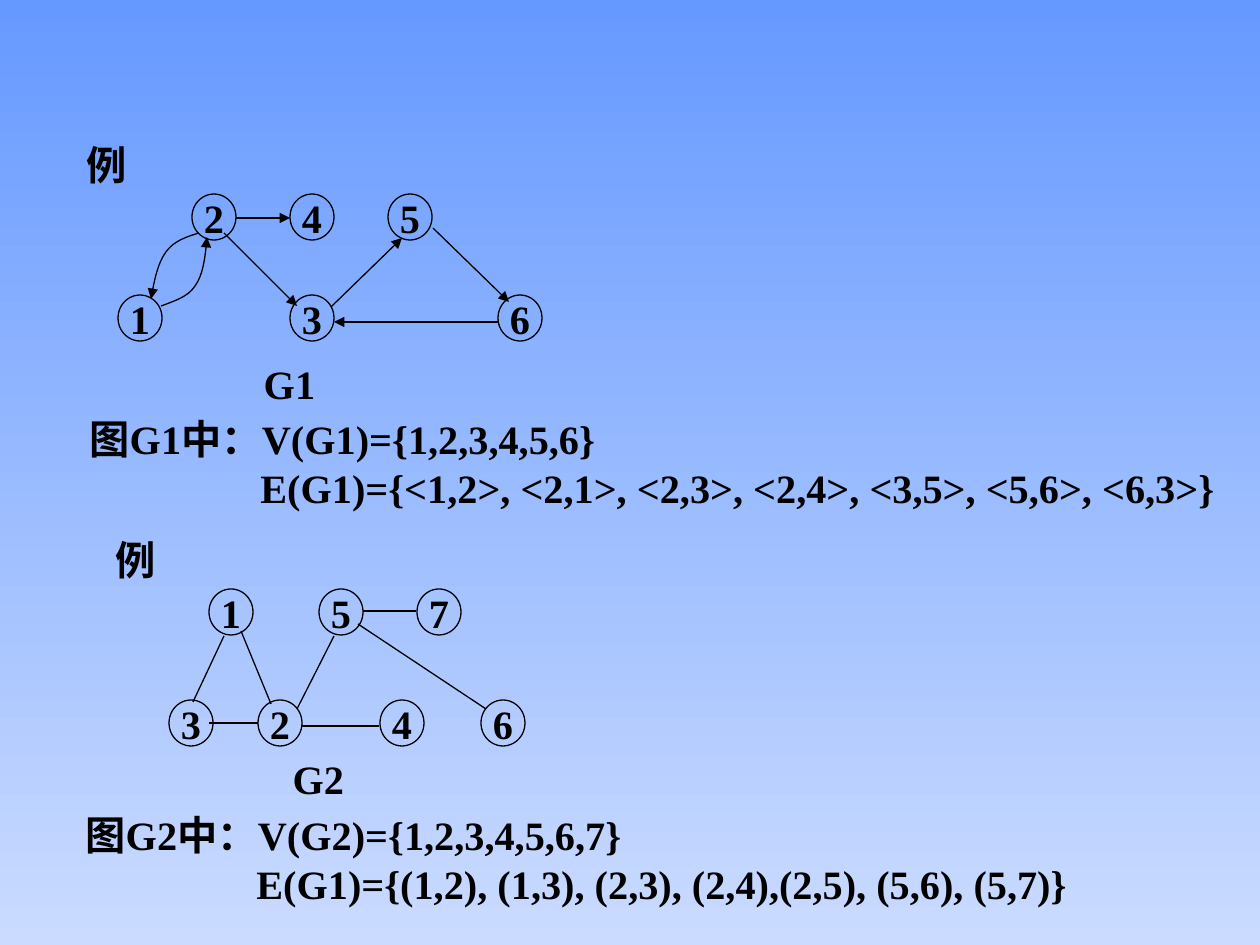
from lxml.etree import SubElement
from pptx import Presentation
from pptx.dml.color import RGBColor as RGB
from pptx.enum.shapes import MSO_CONNECTOR as Connector, MSO_SHAPE as Shape
from pptx.enum.text import MSO_ANCHOR as Anchor, MSO_AUTO_SIZE as AutoSize, PP_ALIGN as Align
from pptx.oxml.ns import qn
from pptx.util import Pt

EMU_PER_PX = 914400 / 126
NODE_WIDTH, NODE_HEIGHT = 44, 46
LABEL_HEIGHT = 62
SET_INDENT = 171


class Theme:
    ink = RGB(0, 0, 0)
    sky = (RGB(0x66, 0x99, 0xFF), RGB(0xCA, 0xDB, 0xFF))
    line_width = Pt(0.75)
    font = {"name": "Times New Roman", "size": Pt(23), "bold": True}


DIRECTED = {
    "box": (74, 133),
    "caption": "G1",
    "nodes": {"2": (118, 61), "4": (216, 61), "5": (314, 61),
              "1": (44, 162), "3": (216, 162), "6": (424, 162)},
    "edges": [(162, 85, 216, 85), (150, 100, 223, 173), (425, 189, 260, 189),
              (257, 174, 328, 105), (359, 95, 435, 169)],
    "curves": [
        [(125, 100), (112, 104), (100, 108), (92, 119), (84, 130), (78, 158), (77, 166)],
        [(87, 173), (100, 168), (114, 164), (121, 153), (129, 142), (133, 111), (133, 104)],
    ],
    "arrows": True,
}
UNDIRECTED = {
    "box": (103, 528),
    "caption": "G2",
    "nodes": {"1": (106, 61), "5": (216, 61), "7": (314, 61),
              "3": (66, 172), "2": (155, 172), "4": (277, 172), "6": (378, 172)},
    "edges": [(121, 108, 90, 174), (106, 195, 155, 195), (138, 103, 168, 176),
              (231, 108, 194, 181), (199, 198, 276, 198), (260, 83, 313, 83),
              (255, 96, 383, 181)],
    "curves": [],
    "arrows": False,
}
SETS = [
    ((77, 408, 1152, 110), "图G1中：V(G1)={1,2,3,4,5,6}",
     "E(G1)={<1,2>, <2,1>, <2,3>, <2,4>, <3,5>, <5,6>, <6,3>}"),
    ((73, 804, 1008, 110), "图G2中：V(G2)={1,2,3,4,5,6,7}",
     "E(G1)={(1,2), (1,3), (2,3), (2,4),(2,5), (5,6), (5,7)}"),
]


def px(*lengths):
    return [round(length * EMU_PER_PX) for length in lengths]


def write(shape, lines, align=Align.CENTER):
    frame = shape.text_frame
    frame.text = "\n".join(lines)
    frame.word_wrap = False
    frame.vertical_anchor = Anchor.MIDDLE
    for paragraph in frame.paragraphs:
        paragraph.alignment = align
        paragraph.font.color.rgb = Theme.ink
        for name, value in Theme.font.items():
            setattr(paragraph.font, name, value)


def add_label(shapes, box, lines, align=Align.CENTER):
    label = shapes.add_textbox(*px(*box))
    write(label, lines, align)
    label.text_frame.auto_size = AutoSize.SHAPE_TO_FIT_TEXT
    return label


def style_line(shape, arrow=False):
    shape.line.color.rgb = Theme.ink
    shape.line.width = Theme.line_width
    if arrow:
        SubElement(shape.line._get_or_add_ln(), qn("a:tailEnd"), type="triangle")


def add_node(shapes, name, left, top):
    node = shapes.add_shape(Shape.OVAL, *px(left, top, NODE_WIDTH, NODE_HEIGHT))
    node.shadow.inherit = False
    node.fill.background()
    style_line(node)
    write(node, [name])


def add_edge(shapes, ends, arrow):
    edge = shapes.add_connector(Connector.STRAIGHT, *px(*ends))
    style_line(edge, arrow)
    SubElement(edge._element.spPr, qn("a:effectLst"))


def add_curve(shapes, points, arrow):
    """Draw a start point followed by Bezier triples (two controls and an end)."""
    builder = shapes.build_freeform(*points[0], scale=EMU_PER_PX)
    builder.add_line_segments(points[1:], close=False)
    curve = builder.convert_to_shape()
    outline = curve._element.spPr.find(".//" + qn("a:path"))
    segments = outline.findall(qn("a:lnTo"))
    for start in range(0, len(segments), 3):
        bezier = SubElement(outline, qn("a:cubicBezTo"))
        for segment in segments[start:start + 3]:
            bezier.append(segment[0])
            outline.remove(segment)
    curve.shadow.inherit = False
    curve.fill.background()
    style_line(curve, arrow)


def add_graph(slide, graph):
    left, top = graph["box"]
    shapes = slide.shapes.add_group_shape().shapes
    add_label(shapes, (left, top, 66, LABEL_HEIGHT), ["例"])
    for name, (x, y) in graph["nodes"].items():
        add_node(shapes, name, left + x, top + y)
    for x1, y1, x2, y2 in graph["edges"]:
        add_edge(shapes, (left + x1, top + y1, left + x2, top + y2), graph["arrows"])
    for points in graph["curves"]:
        add_curve(shapes, [(left + x, top + y) for x, y in points], graph["arrows"])
    add_label(shapes, (left + 177, top + 219, 77, LABEL_HEIGHT), [graph["caption"]])


def add_sets(slide, box, vertices, edges):
    label = add_label(slide.shapes, box, [vertices, edges], Align.LEFT)
    frame = label.text_frame
    frame.word_wrap = True
    frame.margin_right = 0
    properties = frame.paragraphs[1]._p.get_or_add_pPr()
    properties.set("marL", str(px(SET_INDENT)[0]))
    properties.set("indent", "0")


def paint_background(slide):
    fill = slide.background.fill
    fill.gradient()
    fill.gradient_angle = 270
    for position, (stop, color) in enumerate(zip(fill.gradient_stops, Theme.sky)):
        stop.position = position
        stop.color.rgb = color


def main():
    presentation = Presentation()
    presentation.slide_width, presentation.slide_height = px(1260, 945)
    slide = presentation.slides.add_slide(presentation.slide_layouts[6])
    paint_background(slide)
    for graph in (DIRECTED, UNDIRECTED):
        add_graph(slide, graph)
    for box, vertices, edges in SETS:
        add_sets(slide, box, vertices, edges)
    presentation.save("out.pptx")


if __name__ == "__main__":
    main()
